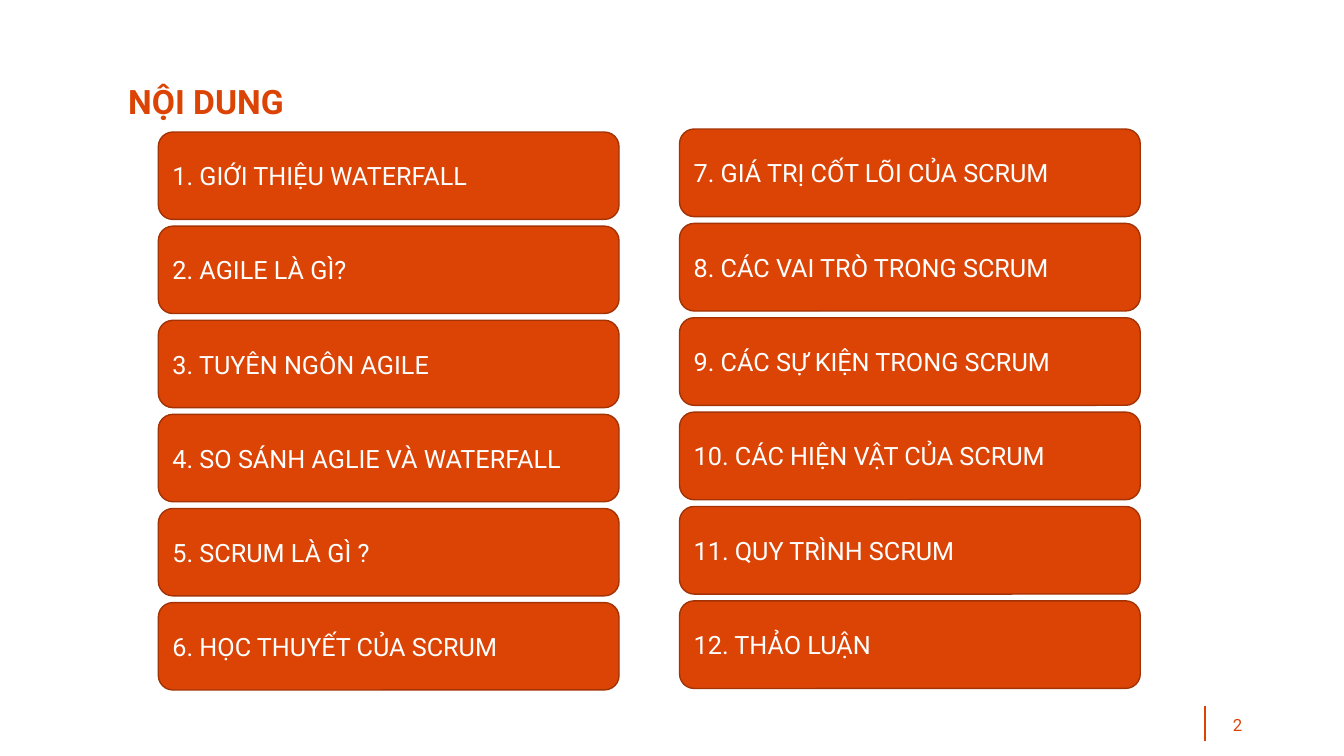
import pptx
import pptx.dml.color
import pptx.enum.shapes
import pptx.enum.text
import pptx.oxml.ns
import pptx.util
from lxml import etree

ORANGE = pptx.dml.color.RGBColor(0xDC, 0x44, 0x05)
RUST = pptx.dml.color.RGBColor(0xA3, 0x32, 0x04)
WHITE = pptx.dml.color.RGBColor(0xFF, 0xFF, 0xFF)

ALIGN = pptx.enum.text.PP_ALIGN
ANCHOR = pptx.enum.text.MSO_ANCHOR
CARD_ROWS, GAP_ROWS = 13, 1

WATERFALL_TOPICS = [
    "1. GIỚI THIỆU WATERFALL",
    "2. AGILE LÀ GÌ?",
    "3. TUYÊN NGÔN AGILE",
    "4. SO SÁNH AGLIE VÀ WATERFALL",
    "5. SCRUM LÀ GÌ ?",
    "6. HỌC THUYẾT CỦA SCRUM",
]
SCRUM_TOPICS = [
    "7. GIÁ TRỊ CỐT LÕI CỦA SCRUM",
    "8. CÁC VAI TRÒ TRONG SCRUM",
    "9. CÁC SỰ KIỆN TRONG SCRUM",
    "10. CÁC HIỆN VẬT CỦA SCRUM",
    "11. QUY TRÌNH SCRUM",
    "12. THẢO LUẬN",
]


def percent_box(box, left, top, width, height):
    """Return the part of a box given in percent of its size."""
    x, y, w, h = box
    return (int(x + w * left / 100), int(y + h * top / 100),
            int(w * width / 100), int(h * height / 100))


def apply_format(target, values):
    """Set each named value on the target."""
    for name, value in values.items():
        setattr(target, name, value)


def write(holder, text, size, color, align, frame_format, bold=False):
    """Put one formatted paragraph into a shape and return it."""
    frame = holder.text_frame
    frame.text = text
    apply_format(frame, {"word_wrap": True, **frame_format})
    paragraph = frame.paragraphs[0]
    paragraph.alignment = align
    font = paragraph.runs[0].font
    apply_format(font, {"name": "Roboto", "size": pptx.util.Pt(size), "bold": bold})
    font.color.rgb = color
    return paragraph


def add_heading(slide, box):
    """Place and format the slide title in its box."""
    heading = slide.shapes.title
    apply_format(heading, dict(zip(("left", "top", "width", "height"), box)))
    margins = {f"margin_{side}": 0 for side in ("left", "top", "right", "bottom")}
    paragraph = write(heading, "NỘI DUNG", 24, ORANGE, ALIGN.LEFT, {
        **margins,
        "vertical_anchor": ANCHOR.TOP,
        "auto_size": pptx.enum.text.MSO_AUTO_SIZE.SHAPE_TO_FIT_TEXT,
    }, bold=True)
    paragraph.line_spacing = 0.9


def add_topics(slide, box, topics):
    """Stack topic cards evenly down a column box."""
    left, top, width, height = box
    pitch_rows = CARD_ROWS + GAP_ROWS
    row = height / (pitch_rows * len(topics) - GAP_ROWS)
    for index, topic in enumerate(topics):
        card = slide.shapes.add_shape(
            pptx.enum.shapes.MSO_SHAPE.ROUNDED_RECTANGLE,
            left, int(top + index * pitch_rows * row), width, int(CARD_ROWS * row))
        card.shadow.inherit = False
        card.fill.solid()
        card.fill.fore_color.rgb = ORANGE
        card.line.color.rgb = RUST
        card.line.width = pptx.util.Pt(1)
        write(card, topic, 18, WHITE, ALIGN.LEFT, {"vertical_anchor": ANCHOR.MIDDLE})


def add_footer(slide, box):
    """Draw the divider and page number across the footer box."""
    x, top, _, height = percent_box(box, 84.33, 0, 0, 100)
    divider = slide.shapes.add_connector(
        pptx.enum.shapes.MSO_CONNECTOR.STRAIGHT, x, top, x, top + height)
    divider.line.color.rgb = ORANGE
    divider.line.width = pptx.util.Pt(1.5)
    properties = divider._element.spPr
    etree.SubElement(properties, pptx.oxml.ns.qn("a:effectLst"))
    page_number = slide.shapes.add_textbox(*percent_box(box, 0, 5.71, 100, 100))
    write(page_number, "2", 12, ORANGE, ALIGN.RIGHT, {"vertical_anchor": ANCHOR.MIDDLE})


def add_contents_slide(deck, box):
    """Build the contents slide inside the given box."""
    slide = deck.slides.add_slide(deck.slide_layouts[5])
    add_heading(slide, percent_box(box, 9.53, 11.33, 88.67, 4.93))
    add_topics(slide, percent_box(box, 11.78, 17.47, 34.28, 73.8), WATERFALL_TOPICS)
    add_topics(slide, percent_box(box, 50.56, 17.07, 34.28, 74), SCRUM_TOPICS)
    add_footer(slide, percent_box(box, 70.67, 93.33, 22.5, 4.67))


deck = pptx.Presentation()
apply_format(deck, {"slide_width": pptx.util.Inches(13.33),
                    "slide_height": pptx.util.Inches(7.5)})
add_contents_slide(deck, (0, 0, deck.slide_width, deck.slide_height))
deck.save("out.pptx")
